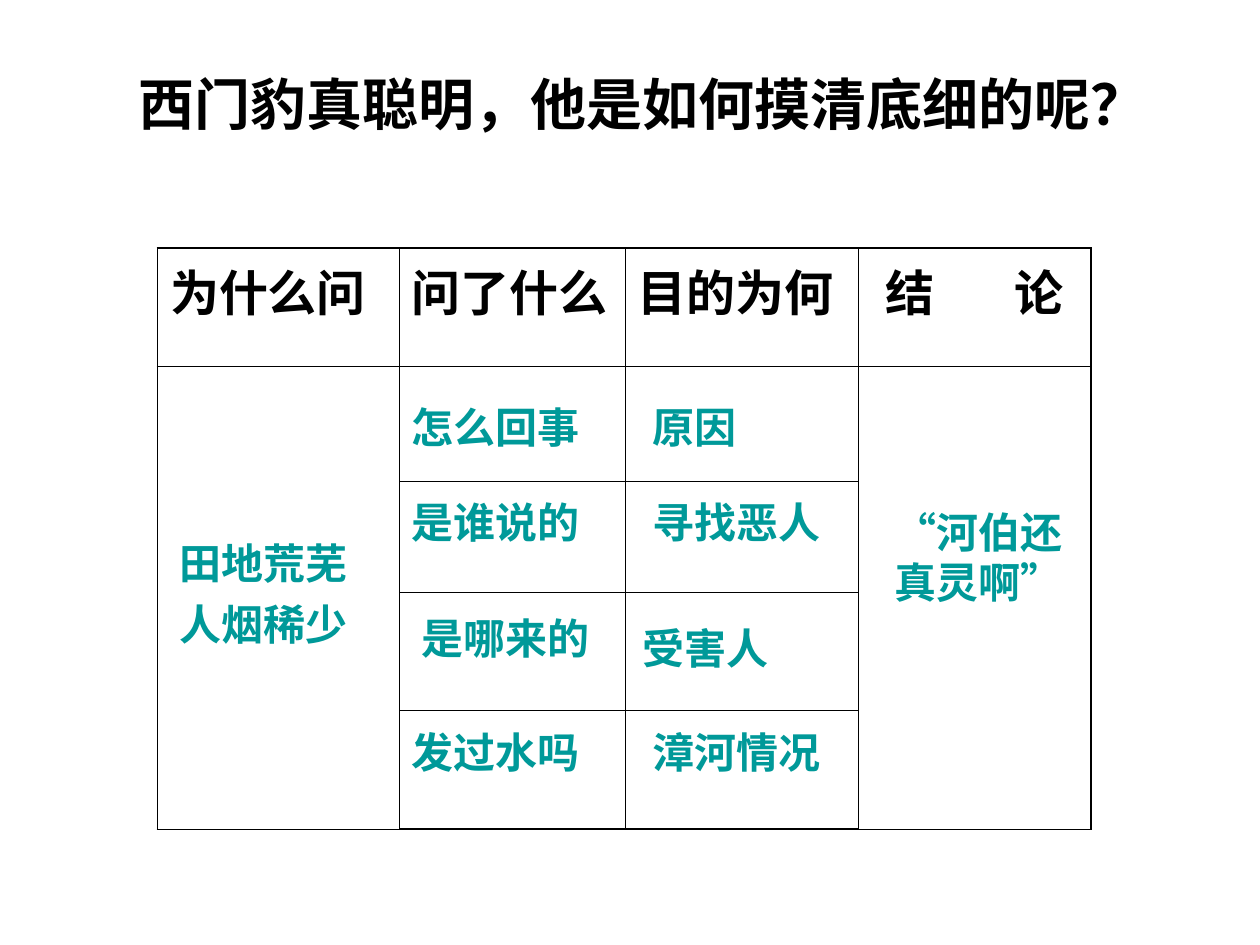
from lxml import etree
from pptx import Presentation
from pptx.dml.color import RGBColor
from pptx.enum.text import MSO_ANCHOR, PP_ALIGN
from pptx.oxml.ns import qn
from pptx.util import Inches, Pt

BLACK = RGBColor(0, 0, 0)
TEAL = RGBColor(0x00, 0x99, 0x99)
CENTER = PP_ALIGN.CENTER
TOP = MSO_ANCHOR.TOP
CJK_FONT = "Noto Sans CJK JP"
SERIF = "Times New Roman"
THICK, THIN = 1.08, 0.45


def write(para, text, size=24, font=CJK_FONT, color=TEAL, spacing=None):
    span = para.add_run()
    span.text = text
    span.font.size = Pt(size)
    span.font.bold = True
    span.font.name = font
    span.font.color.rgb = color
    props = span.font._element
    props.set("lang", "zh-CN")
    if spacing:
        props.set("spc", str(spacing))
    etree.SubElement(props, qn("a:ea")).set("typeface", CJK_FONT)


deck = Presentation()
deck.slide_width = Inches(10)
deck.slide_height = Inches(7.5)
page = deck.slides.add_slide(deck.slide_layouts[6])

# Question
box = page.shapes.add_textbox(Inches(1), Inches(0.5), Inches(8.08), Inches(0.64))
box.text_frame.word_wrap = True
write(box.text_frame.paragraphs[0], "西门豹真聪明，他是如何摸清底细的呢？",
      size=32, font=SERIF, color=BLACK)

# Table grid
widths = [1.92, 1.79, 1.85, 1.85]
heights = [0.94, 0.91, 0.88, 0.94, 0.94]
last_row, last_col = len(heights) - 1, len(widths) - 1
table = page.shapes.add_table(len(heights), len(widths), Inches(1.25), Inches(1.97),
                              Inches(sum(widths)), Inches(sum(heights))).table
table.first_row = False
table.horz_banding = False
for column, width in zip(table.columns, widths):
    column.width = Inches(width)
for row, height in zip(table.rows, heights):
    row.height = Inches(height)

# Thin inner borders, thick outer frame
for r in range(len(heights)):
    for c in range(len(widths)):
        cell = table.cell(r, c)
        cell.vertical_anchor = TOP
        edges = {"L": c == 0, "R": c == last_col, "T": r == 0, "B": r == last_row}
        for side, outer in edges.items():
            line = etree.SubElement(cell._tc.get_or_add_tcPr(), qn(f"a:ln{side}"))
            line.set("w", str(Pt(THICK if outer else THIN)))
            fill = etree.SubElement(line, qn("a:solidFill"))
            etree.SubElement(fill, qn("a:srgbClr")).set("val", str(BLACK))
        cell.fill.background()
for c in (0, last_col):
    table.cell(1, c).merge(table.cell(last_row, c))

# Column headings, the last one spread out by letter spacing on its gap
for c, heading in enumerate(["为什么问", "问了什么", "目的为何"]):
    write(table.cell(0, c).text_frame.paragraphs[0], heading,
          size=28, font="Arial", color=BLACK)
para = table.cell(0, last_col).text_frame.paragraphs[0]
para.alignment = CENTER
for text, spacing in [("结", None), (" ", 3900), ("论", None)]:
    write(para, text, size=28, font="Arial", color=BLACK, spacing=spacing)

# Answers laid over the table
answers = [
    (1.33, 4.22, 1.67, 0.99, ["田地荒芜", "人烟稀少"], CJK_FONT),
    (3.17, 3.14, 1.75, 0.5, ["怎么回事"], CJK_FONT),
    (3.17, 3.89, 1.75, 0.5, ["是谁说的"], CJK_FONT),
    (3.25, 4.81, 1.58, 0.5, ["是哪来的"], CJK_FONT),
    (3.17, 5.72, 1.67, 0.5, ["发过水吗"], CJK_FONT),
    (5.08, 3.14, 1.58, 0.5, ["原因"], CJK_FONT),
    (5.08, 3.89, 1.58, 0.5, ["寻找恶人"], CJK_FONT),
    (5, 4.89, 1.75, 0.5, ["受害人"], CJK_FONT),
    (5.08, 5.72, 1.58, 0.5, ["漳河情况"], CJK_FONT),
    (7, 3.97, 1.58, 0.9, ["“河伯还真灵啊”"], SERIF),
]
for left, top, width, height, lines, font in answers:
    box = page.shapes.add_textbox(Inches(left), Inches(top), Inches(width), Inches(height))
    frame = box.text_frame
    frame.word_wrap = True
    for i, text in enumerate(lines):
        para = frame.add_paragraph() if i else frame.paragraphs[0]
        if i:
            para.space_before = Pt(6)
        write(para, text, font=font)

deck.save("out.pptx")
